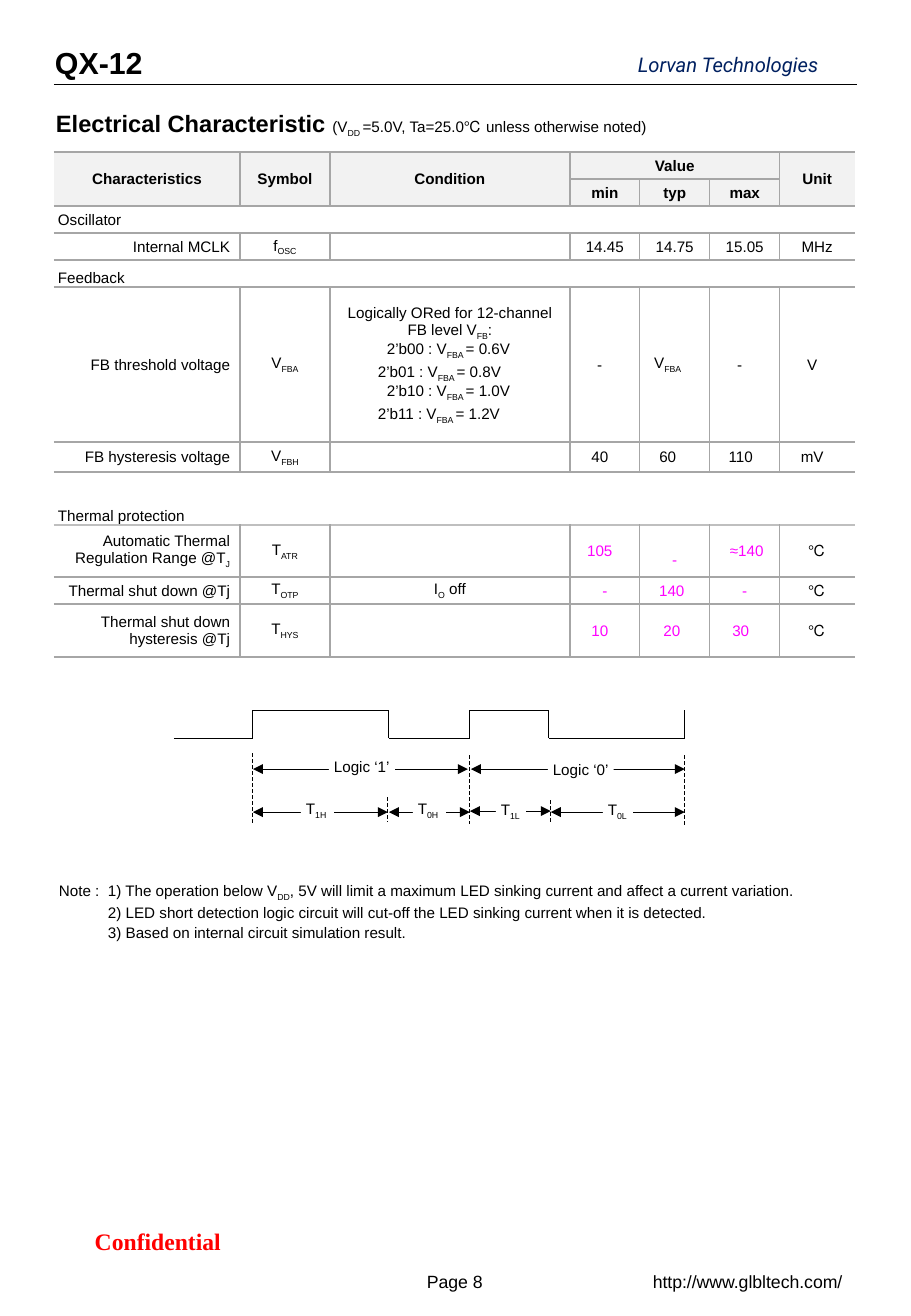
from itertools import pairwise

from lxml import etree
from pptx import Presentation
from pptx import util as u
from pptx.dml.color import RGBColor
from pptx.enum import dml, shapes, text
from pptx.oxml import ns

PX = 914400 / 121.5
COLORS = {"black": "000000", "white": "FFFFFF", "navy": "002060", "red": "FF0000",
          "magenta": "FF00FF", "header": "F2F2F2", "border": "A6A6A6", "pale": "BFBFBF"}
LEFT, CENTER, RIGHT = text.PP_ALIGN.LEFT, text.PP_ALIGN.CENTER, text.PP_ALIGN.RIGHT
TOP, MIDDLE, BOTTOM = (text.MSO_ANCHOR.TOP, text.MSO_ANCHOR.MIDDLE,
                       text.MSO_ANCHOR.BOTTOM)

COLUMN_WIDTHS = [186, 90, 240, 70, 70, 70, 75]
ROW_HEIGHTS = [27, 27, 27, 27, 27, 155, 30, 53, 52, 27, 53]
SECTION_ROWS = (2, 4, 7)
THERMAL_ROW = 8
MERGES = [((0, column), (1, column)) for column in (0, 1, 2, 6)]
MERGES += [((0, 3), (0, 5))] + [((row, 0), (row, 6)) for row in SECTION_ROWS]
CONDITION = ("Logically ORed for 12-channel\nFB level V~FB~:\n"
             "2’b00 : V~FBA ~= 0.6V\n2’b01 : V~FBA ~= 0.8V\n"
             "2’b10 : V~FBA ~= 1.0V\n2’b11 : V~FBA ~= 1.2V")
ROWS = [
    ["Characteristics", "Symbol", "Condition", "Value", "", "", "Unit"],
    ["", "", "", "min", "typ", "max", ""],
    ["Oscillator"] + [""] * 6,
    ["Internal MCLK", "f~OSC~", "", "14.45", "14.75", "15.05", "MHz"],
    ["Feedback"] + [""] * 6,
    ["FB threshold voltage", "V~FBA~", CONDITION, "-", "V~FBA~", "-", "V"],
    ["FB hysteresis voltage", "V~FBH~", "", "40", "60", "110", "mV"],
    ["Thermal protection"] + [""] * 6,
    ["Automatic Thermal\nRegulation Range @T~J~", "T~ATR~", "", "105", "-", "≈140", "℃"],
    ["Thermal shut down @Tj", "T~OTP~", "I~O~ off", "-", "140", "-", "℃"],
    ["Thermal shut down\nhysteresis @Tj", "T~HYS~", "", "10", "20", "30", "℃"],
]
SHIFTS = {5: (-5, -7, -5, -5), 6: (-5, -7, -4, -5), 8: (-5, 0, 2, 0),
          9: (0, -3, 0, 0), 10: (-5, -3, -4, 0)}

WAVEFORM = [(174, 738), (253, 738), (253, 710), (389, 710), (389, 738), (470, 738),
            (470, 710), (549, 710), (549, 738), (685, 738), (685, 710)]
GUIDES = [(253, 753, 824), (470, 755, 824), (685, 755, 825), (388, 797, 822),
          (551, 800, 824)]
SPANS = [(253, 468, 769), (471, 685, 769), (253, 388, 812), (389, 470, 812),
         (470, 551, 811), (551, 685, 812)]
LABELS = [("Logic ‘1’", 329, 752, 66), ("Logic ‘0’", 548, 755, 66),
          ("T~1H~", 301, 796, 33), ("T~0H~", 413, 796, 33),
          ("T~1L~", 496, 797, 30), ("T~0L~", 603, 797, 30)]
NOTES = ("1) The operation below V~DD~, 5V will limit a maximum LED sinking current "
         "and affect a current variation.\n"
         "2) LED short detection logic circuit will cut-off the LED sinking current "
         "when it is detected.\n"
         "3) Based on internal circuit simulation result.")


def px(*lengths):
    """Turn px lengths into a list of EMU."""
    return [u.Emu(round(length * PX)) for length in lengths]


def rgb(name):
    """Look up a named colour."""
    return RGBColor.from_string(COLORS[name])


def style_font(font, size=9, color="black", bold=False, italic=False, name="Arial"):
    """Set the look of a font."""
    font.name, font.size, font.bold, font.italic = name, u.Pt(size), bold, italic
    font.color.rgb = rgb(color)


def add_runs(paragraph, content):
    """Add runs to a paragraph; parts between tildes are subscripts."""
    for index, part in enumerate(content.split("~")):
        if part:
            run = paragraph.add_run()
            run.text = part
            if index % 2:
                run.font._element.set("baseline", "-25000")


def write(frame, content, align=LEFT, space=0, **look):
    """Write one paragraph per line of content."""
    for index, line in enumerate(content.split("\n")):
        paragraph = frame.add_paragraph() if index else frame.paragraphs[0]
        paragraph.alignment = align
        if index and space:
            paragraph.space_before = u.Pt(space)
        style_font(paragraph.font, **look)
        add_runs(paragraph, line)


def set_margins(target, left=0, top=0, right=0, bottom=0):
    """Set the inner margins of a frame or cell in px."""
    (target.margin_left, target.margin_top,
     target.margin_right, target.margin_bottom) = px(left, top, right, bottom)


def add_text(slide, box, content, anchor=MIDDLE, **style):
    """Add a text box without insets."""
    frame = slide.shapes.add_textbox(*px(*box)).text_frame
    frame.word_wrap, frame.vertical_anchor = True, anchor
    set_margins(frame)
    write(frame, content, **style)
    return frame


def add_line(slide, start, end, dashed=False, arrows=False):
    """Add a thin black line, dashed or with arrowheads on request."""
    connector = slide.shapes.add_connector(shapes.MSO_CONNECTOR.STRAIGHT,
                                           *px(*start, *end))
    connector.line.width = u.Pt(0.5)
    connector.line.color.rgb = rgb("black")
    if dashed:
        connector.line.dash_style = dml.MSO_LINE.DASH
    if arrows:
        for tag in ("a:headEnd", "a:tailEnd"):
            etree.SubElement(connector.line._get_or_add_ln(), ns.qn(tag), type="triangle")
    etree.SubElement(connector._element.spPr, ns.qn("a:effectLst"))


def add_label(slide, content, left, top, width):
    """Add a white label that interrupts an arrow."""
    shape = slide.shapes.add_shape(shapes.MSO_SHAPE.RECTANGLE, *px(left, top, width, 28))
    shape.shadow.inherit = False
    shape.fill.solid()
    shape.fill.fore_color.rgb = rgb("white")
    shape.line.fill.background()
    frame = shape.text_frame
    frame.word_wrap, frame.vertical_anchor = False, MIDDLE
    set_margins(frame, 5, 5, 5, 5)
    write(frame, content)


def set_borders(cell, row, column):
    """Draw the grid lines of a cell, leaving the outer sides open."""
    open_row = row in SECTION_ROWS
    edges = {"L": None if open_row or column == 0 else "border",
             "R": None if open_row or column == 6 else "border",
             "T": "pale" if row == THERMAL_ROW else "border",
             "B": "pale" if row == THERMAL_ROW - 1 else "border"}
    properties = cell._tc.get_or_add_tcPr()
    for side, color in edges.items():
        line = etree.SubElement(properties, ns.qn(f"a:ln{side}"), w=str(u.Pt(1)))
        fill = etree.SubElement(line, ns.qn("a:solidFill" if color else "a:noFill"))
        if color:
            etree.SubElement(fill, ns.qn("a:srgbClr"), val=COLORS[color])


def fill_cell(cell, row, column, content):
    """Place, colour and write one table cell."""
    set_borders(cell, row, column)
    cell.fill.background()
    if row < 2:
        cell.fill.solid()
        cell.fill.fore_color.rgb = rgb("header")
    shift = SHIFTS[row][column - 3] if row in SHIFTS and column > 2 else 0
    left, right, align = max(2 * shift, 0), max(-2 * shift, 0), CENTER
    if row in SECTION_ROWS:
        left, align = 4, LEFT
    elif column == 0 and row > 1:
        right, align = 10, RIGHT
    set_margins(cell, left, 18 if (row, column) == (THERMAL_ROW, 4) else 1, right)
    cell.vertical_anchor = BOTTOM if row in (4, 7) else MIDDLE
    measured = row >= THERMAL_ROW and 3 <= column <= 5
    write(cell.text_frame, content, align, bold=row < 2,
          color="magenta" if measured else "black")
    if not content:
        cell.text_frame.paragraphs[0]._p.get_or_add_endParaRPr().set("sz", "900")


def add_characteristics(slide):
    """Add the table of electrical characteristics."""
    box = px(54, 152, sum(COLUMN_WIDTHS), sum(ROW_HEIGHTS))
    table = slide.shapes.add_table(len(ROWS), len(COLUMN_WIDTHS), *box).table
    table.first_row = table.horz_banding = False
    for column, width in zip(table.columns, px(*COLUMN_WIDTHS)):
        column.width = width
    for row, height in zip(table.rows, px(*ROW_HEIGHTS)):
        row.height = height
    for row, contents in enumerate(ROWS):
        for column, content in enumerate(contents):
            fill_cell(table.cell(row, column), row, column, content)
    for first, last in MERGES:
        table.cell(*first).merge(table.cell(*last))
    levels = table.cell(5, 2).text_frame.paragraphs[2:]
    for index, paragraph in enumerate(levels):
        paragraph.alignment = LEFT
        paragraph._p.get_or_add_pPr().set("marL", str(px(48 if index % 2 else 57)[0]))
        paragraph.space_before = u.Pt(2 * (index % 2))


def add_timing(slide):
    """Add the timing diagram."""
    for start, end in pairwise(WAVEFORM):
        add_line(slide, start, end)
    for x, top, bottom in GUIDES:
        add_line(slide, (x, top), (x, bottom), dashed=True)
    for left, right, y in SPANS:
        add_line(slide, (right, y), (left, y), arrows=True)
    for label in LABELS:
        add_label(slide, *label)


def main():
    """Build the data sheet page."""
    presentation = Presentation()
    presentation.slide_width, presentation.slide_height = u.Inches(7.5), u.Inches(10.83)
    slide = presentation.slides.add_slide(presentation.slide_layouts[6])
    add_text(slide, (55, 42, 300, 40), "QX-12", size=18, bold=True)
    add_text(slide, (638, 52, 215, 24), "Lorvan Technologies", size=12, color="navy",
             italic=True, name="Roboto")
    add_line(slide, (54, 84), (857, 84))
    heading = add_text(slide, (56, 109, 700, 30), "Electrical Characteristic ~~"
                       "(V~DD ~=5.0V, Ta=25.0℃ unless otherwise noted)", anchor=TOP)
    style_font(heading.paragraphs[0].runs[0].font, size=14, bold=True)
    add_characteristics(slide)
    add_timing(slide)
    add_text(slide, (59, 881, 46, 20), "Note :", anchor=TOP)
    add_text(slide, (108, 881, 749, 62), NOTES, anchor=TOP, space=1)
    add_text(slide, (41, 1220, 234, 41), "Confidential", align=CENTER, size=14,
             color="red", bold=True, name="Times New Roman")
    add_text(slide, (398, 1261, 114, 41), "Page 8", align=CENTER, size=10.5)
    add_text(slide, (634, 1261, 228, 41), "http://www.glbltech.com/", align=CENTER,
             size=10.5)
    presentation.save("out.pptx")


if __name__ == "__main__":
    main()
